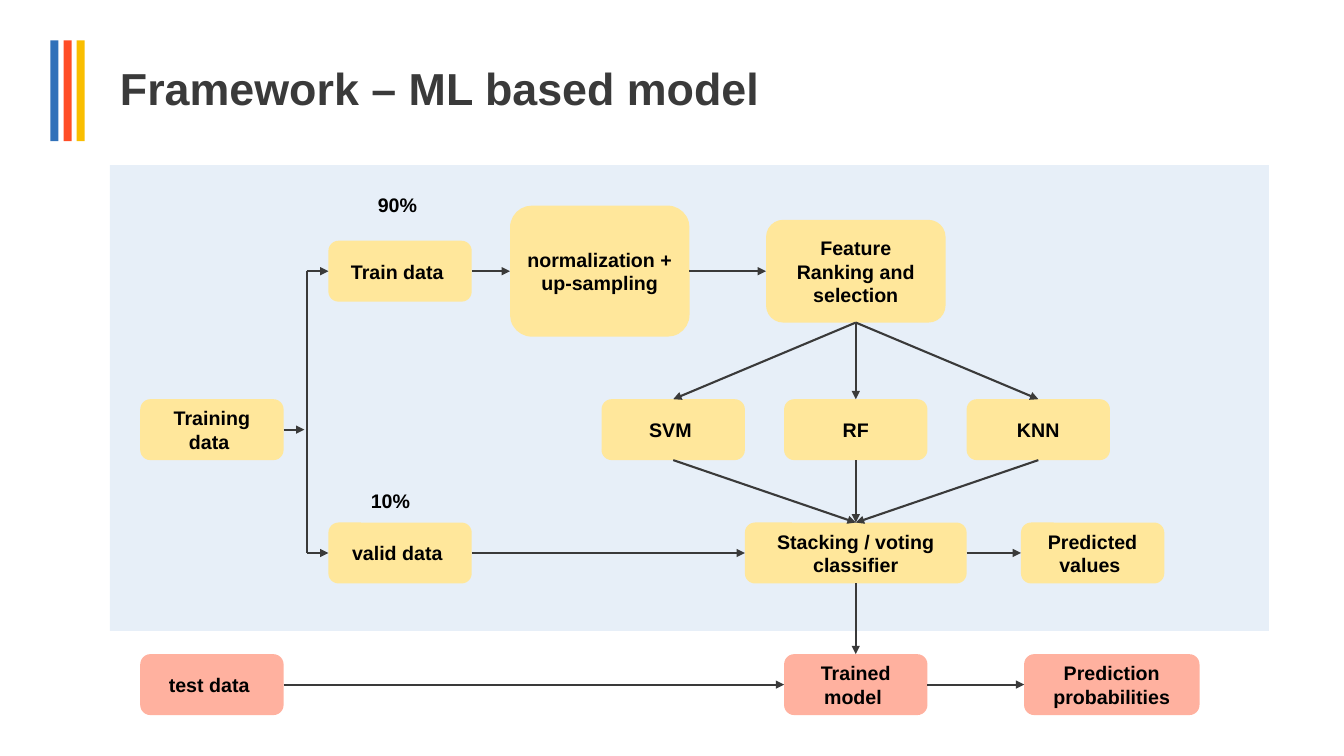
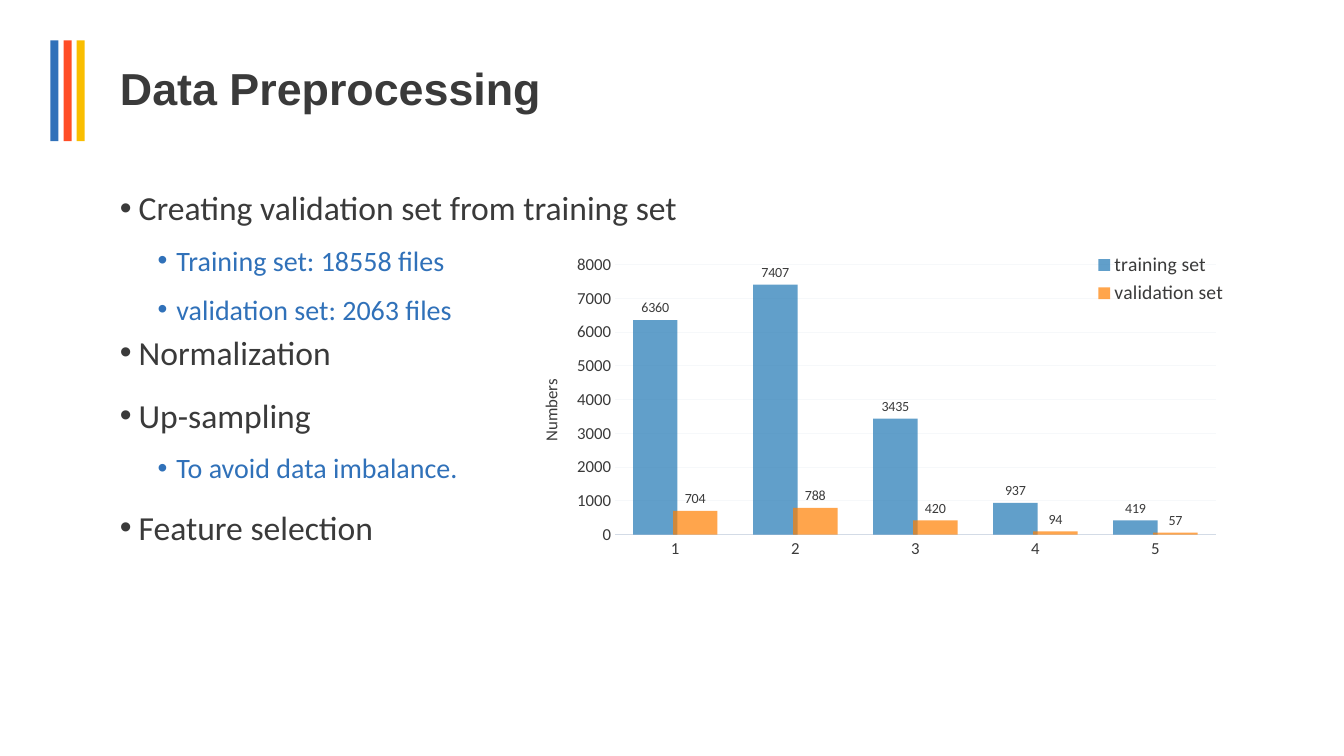
from lxml import etree
from pptx import Presentation
from pptx.chart.data import CategoryChartData
from pptx.dml.color import RGBColor
from pptx.enum.chart import (XL_CHART_TYPE, XL_LABEL_POSITION,
                             XL_LEGEND_POSITION, XL_TICK_MARK)
from pptx.enum.shapes import MSO_CONNECTOR, MSO_SHAPE
from pptx.enum.text import MSO_ANCHOR, PP_ALIGN
from pptx.oxml.ns import qn
from pptx.util import Pt

RECTANGLE = MSO_SHAPE.RECTANGLE
ROUNDED = MSO_SHAPE.ROUNDED_RECTANGLE
STRAIGHT = MSO_CONNECTOR.STRAIGHT
COLUMNS = XL_CHART_TYPE.COLUMN_CLUSTERED
OUTSIDE_END = XL_LABEL_POSITION.OUTSIDE_END
CORNER = XL_LEGEND_POSITION.CORNER
NO_TICKS = XL_TICK_MARK.NONE
MIDDLE, TOP_ANCHOR = MSO_ANCHOR.MIDDLE, MSO_ANCHOR.TOP
LEFT_ALIGN, CENTER = PP_ALIGN.LEFT, PP_ALIGN.CENTER
TOP, LEFT, BOTTOM, RIGHT = range(4)

# Colours and fonts
DARK = RGBColor(0x3A, 0x3A, 0x3A)
BLACK = RGBColor(0x00, 0x00, 0x00)
BLUE = RGBColor(0x30, 0x71, 0xB9)
RED = RGBColor(0xFF, 0x4D, 0x26)
AMBER = RGBColor(0xF9, 0xBE, 0x00)
PANEL = RGBColor(0xD1, 0xE1, 0xF3)
YELLOW = RGBColor(0xFF, 0xE7, 0x9B)
SALMON = RGBColor(0xFF, 0xB1, 0x9F)
CHART_BLUE = RGBColor(0x1F, 0x77, 0xB4)
CHART_ORANGE = RGBColor(0xFF, 0x7F, 0x01)
AXIS_LINE = RGBColor(0xD3, 0xDB, 0xE6)
GRID = RGBColor(0xF6, 0xF8, 0xFA)
HEADING_FONT, BODY_FONT = "Arial", "Calibri"

# Shared geometry
CONTENT_LEFT, CONTENT_WIDTH = 78.5, 828
HEADER_TOP, HEADER_HEIGHT = 28.8, 72
BAR_LEFT, BAR_STEP, BAR_WIDTH = 36, 9.4, 5.76

# Framework content: text, centre x, centre y, width, height, colour
NODE_WIDTH, NODE_HEIGHT = 102.4, 43.5
TRAIN_Y, MODEL_Y, VALID_Y, TEST_Y = 193.7, 306.9, 395, 489
START_X, SPLIT_X, CENTRE_X, MODEL_STEP = 151.4, 285.8, 611.3, 130.4
BRANCH_X = 219
STANDARD = (NODE_WIDTH, NODE_HEIGHT)
NODES = {
    "training": ("Training data ", START_X, MODEL_Y, *STANDARD, YELLOW),
    "train": ("Train data ", SPLIT_X, TRAIN_Y, *STANDARD, YELLOW),
    "valid": ("valid data ", SPLIT_X, VALID_Y, *STANDARD, YELLOW),
    "normalize": ("normalization + up-sampling", 428.4, TRAIN_Y, 128.2, 93.6, YELLOW),
    "features": ("Feature Ranking and selection", CENTRE_X, TRAIN_Y, 128.2, 73.4, YELLOW),
    "svm": ("SVM ", CENTRE_X - MODEL_STEP, MODEL_Y, *STANDARD, YELLOW),
    "rf": ("RF", CENTRE_X, MODEL_Y, *STANDARD, YELLOW),
    "knn": ("KNN", CENTRE_X + MODEL_STEP, MODEL_Y, *STANDARD, YELLOW),
    "stacking": ("Stacking / voting classifier", CENTRE_X, VALID_Y, 158.4, NODE_HEIGHT, YELLOW),
    "predicted": ("Predicted values ", 780.5, VALID_Y, *STANDARD, YELLOW),
    "test": ("test data ", START_X, TEST_Y, *STANDARD, SALMON),
    "trained": ("Trained model ", CENTRE_X, TEST_Y, *STANDARD, SALMON),
    "probabilities": ("Prediction probabilities", 794.2, TEST_Y, 125.3, NODE_HEIGHT, SALMON),
}
ACROSS = [("train", "normalize"), ("normalize", "features"), ("valid", "stacking"),
          ("stacking", "predicted"), ("test", "trained"), ("trained", "probabilities")]
DOWN = [("features", "svm"), ("features", "rf"), ("features", "knn"),
        ("svm", "stacking"), ("rf", "stacking"), ("knn", "stacking"),
        ("stacking", "trained")]
SHARES = [("90%", 262.8, 134.6), ("10%", 257.8, 345.6)]

# Preprocessing content: level, text, line spacing, space before
BULLETS = [
    (0, "Creating validation set from training set", 1.3, 0),
    (1, "Training set: 18558 files", 1.3, 3.8),
    (1, "validation set: 2063 files", 1.3, 3.8),
    (0, "Normalization", 0.9, 7.5),
    (0, "Up-sampling", 1.3, 7.5),
    (1, "To avoid data imbalance.", 1.3, 3.8),
    (0, "Feature selection", 1.3, 7.5),
]
LEVEL_STYLES = [(24, DARK, 13.5), (20, BLUE, 40.5)]  # size, colour, indent
HANGING = 13.5
CATEGORIES = ["1", "2", "3", "4", "5"]
SERIES = [
    ("training set", (6360, 7407, 3435, 937, 419), CHART_BLUE),
    ("validation set", (704, 788, 420, 94, 57), CHART_ORANGE),
]


def box(left, top, width, height):
    return Pt(left), Pt(top), Pt(width), Pt(height)


def style_font(font, name, size, color, bold=False):
    font.name, font.size, font.bold = name, Pt(size), bold
    font.color.rgb = color


def set_opacity(element, percent):
    color = element.find(".//" + qn("a:srgbClr"))
    etree.SubElement(color, qn("a:alpha"), val=str(percent * 1000))


def add_block(slide, kind, bounds, color):
    shape = slide.shapes.add_shape(kind, *box(*bounds))
    shape.shadow.inherit = False
    shape.fill.solid()
    shape.fill.fore_color.rgb = color
    shape.line.fill.background()
    return shape


def add_titled_slide(presentation, layout, title):
    slide = presentation.slides.add_slide(layout)
    shape = slide.shapes.title
    shape.left, shape.top, shape.width, shape.height = box(
        CONTENT_LEFT, HEADER_TOP, CONTENT_WIDTH, HEADER_HEIGHT)
    shape.text_frame.text = title
    shape.text_frame.vertical_anchor = MIDDLE
    paragraph = shape.text_frame.paragraphs[0]
    paragraph.alignment, paragraph.line_spacing = LEFT_ALIGN, 0.9
    style_font(paragraph.runs[0].font, HEADING_FONT, 32, DARK, True)
    return slide


def add_header_bars(slide, layout):
    """Draw the bars and move them to the layout, so every slide shows them."""
    for index, color in enumerate((BLUE, RED, AMBER)):
        left = BAR_LEFT + index * BAR_STEP
        bar = add_block(slide, RECTANGLE, (left, HEADER_TOP, BAR_WIDTH, HEADER_HEIGHT), color)
        layout.shapes.element.append(bar.element)


def add_node(slide, text, centre_x, centre_y, width, height, color):
    bounds = (centre_x - width / 2, centre_y - height / 2, width, height)
    shape = add_block(slide, ROUNDED, bounds, color)
    shape.text_frame.text = text
    shape.text_frame.word_wrap = True
    shape.text_frame.vertical_anchor = MIDDLE
    paragraph = shape.text_frame.paragraphs[0]
    paragraph.alignment = CENTER
    style_font(paragraph.runs[0].font, HEADING_FONT, 14, BLACK, True)
    return shape


def add_line(slide, start=(0, 0), end=(0, 0), source=None, target=None, arrow=True):
    """Draw from start to end; source and target are (shape, side) pairs."""
    line = slide.shapes.add_connector(STRAIGHT, *box(*start, *end))
    if source:
        line.begin_connect(*source)
    if target:
        line.end_connect(*target)
    line.line.color.rgb = DARK
    line.line.width = Pt(1.5)
    properties = line.element.spPr
    if arrow:
        etree.SubElement(properties.find(qn("a:ln")), qn("a:tailEnd"), type="triangle")
    etree.SubElement(properties, qn("a:effectLst"))


def fill_framework(slide):
    # Panel, nodes and share labels
    panel = add_block(slide, RECTANGLE, (CONTENT_LEFT, 118, CONTENT_WIDTH, 332.6), PANEL)
    set_opacity(panel.element, 50)
    nodes = {name: add_node(slide, *node) for name, node in NODES.items()}
    for text, left, top in SHARES:
        label = slide.shapes.add_textbox(*box(left, top, 44, 24.5))
        label.text_frame.word_wrap = True
        label.text_frame.text = text
        style_font(label.text_frame.paragraphs[0].runs[0].font, HEADING_FONT, 14, BLACK, True)

    # Arrows between nodes
    for pairs, out_side, in_side in ((ACROSS, RIGHT, LEFT), (DOWN, BOTTOM, TOP)):
        for source, target in pairs:
            add_line(slide, source=(nodes[source], out_side), target=(nodes[target], in_side))

    # Branch from the training data
    add_line(slide, (BRANCH_X, TRAIN_Y), (BRANCH_X, VALID_Y), arrow=False)
    add_line(slide, end=(BRANCH_X - 1.5, MODEL_Y), source=(nodes["training"], RIGHT))
    for name, y in (("train", TRAIN_Y), ("valid", VALID_Y)):
        add_line(slide, start=(BRANCH_X, y), target=(nodes[name], LEFT))


def add_bullets(slide):
    shape = slide.shapes.add_textbox(*box(CONTENT_LEFT, 121.7, CONTENT_WIDTH, 363))
    frame = shape.text_frame
    frame.word_wrap = True
    frame.vertical_anchor = TOP_ANCHOR
    frame.text = "\n".join(bullet[1] for bullet in BULLETS)
    for paragraph, (level, _, spacing, before) in zip(frame.paragraphs, BULLETS):
        size, color, indent = LEVEL_STYLES[level]
        paragraph.level = level
        paragraph.line_spacing, paragraph.space_before = spacing, Pt(before)
        style_font(paragraph.runs[0].font, BODY_FONT, size, color)
        properties = paragraph._p.get_or_add_pPr()
        properties.set("marL", str(Pt(indent)))
        properties.set("indent", str(-Pt(HANGING)))
        bullet_color = etree.SubElement(properties, qn("a:buClr"))
        etree.SubElement(bullet_color, qn("a:srgbClr"), val=str(color))
        etree.SubElement(properties, qn("a:buFont"), typeface="Arial")
        etree.SubElement(properties, qn("a:buChar"), char="•")


def set_layout(parent, index, **values):
    """Give a chart part a fixed place, in fractions of the chart."""
    for old in parent.findall(qn("c:layout")):
        parent.remove(old)
    layout = etree.Element(qn("c:layout"))
    parent.insert(index, layout)
    manual = etree.SubElement(layout, qn("c:manualLayout"))
    for name, value in values.items():
        etree.SubElement(manual, qn("c:" + name), val=str(value))


def add_column_chart(slide):
    data = CategoryChartData()
    data.categories = CATEGORIES
    for name, values, _ in SERIES:
        data.add_series(name, values)
    chart = slide.shapes.add_chart(COLUMNS, *box(368, 177.8, 510.5, 226.8), data).chart
    chart.has_title = False
    style_font(chart.font, BODY_FONT, 12, DARK)

    # Columns and value labels
    plot = chart.plots[0]
    plot.gap_width, plot.overlap, plot.vary_by_categories = 80, 10, False
    for series, (_, _, color) in zip(plot.series, SERIES):
        series.format.fill.solid()
        series.format.fill.fore_color.rgb = color
        series.data_labels.show_value = True
        series.data_labels.position = OUTSIDE_END
        style_font(series.data_labels.font, BODY_FONT, 10, DARK)
    for element in chart.element.iter(qn("c:ser")):
        set_opacity(element.find(qn("c:spPr")), 70)

    # Axes
    category_axis, value_axis = chart.category_axis, chart.value_axis
    for axis in (category_axis, value_axis):
        axis.major_tick_mark = axis.minor_tick_mark = NO_TICKS
        style_font(axis.tick_labels.font, BODY_FONT, 12, DARK)
    category_axis.format.line.color.rgb = AXIS_LINE
    category_axis.format.line.width = Pt(1.25)
    value_axis.format.line.fill.background()
    value_axis.minimum_scale, value_axis.maximum_scale, value_axis.major_unit = 0, 8000, 1000
    grid_line = value_axis.major_gridlines.format.line
    grid_line.color.rgb, grid_line.width = GRID, Pt(0.75)
    title_frame = value_axis.axis_title.text_frame
    title_frame.text = "Numbers"
    style_font(title_frame.paragraphs[0].runs[0].font, BODY_FONT, 12, DARK)

    # Legend and fixed places
    chart.has_legend = True
    chart.legend.position, chart.legend.include_in_layout = CORNER, True
    style_font(chart.legend.font, BODY_FONT, 14, DARK)
    set_layout(chart.element.find(".//" + qn("c:plotArea")), 0, layoutTarget="inner",
               xMode="edge", yMode="edge", x=0.14, y=0.05, w=0.84, h=0.85)
    set_layout(chart.element.find(".//" + qn("c:valAx") + "/" + qn("c:title")), 1,
               xMode="edge", yMode="edge", x=0.03, y=0.4)


def main():
    presentation = Presentation()
    presentation.slide_width, presentation.slide_height = Pt(960), Pt(540)
    layout = presentation.slide_layouts.get_by_name("Title Only")
    framework = add_titled_slide(presentation, layout, "Framework – ML based model")
    add_header_bars(framework, layout)
    fill_framework(framework)
    preprocessing = add_titled_slide(presentation, layout, "Data Preprocessing")
    add_bullets(preprocessing)
    add_column_chart(preprocessing)
    presentation.save("out.pptx")


if __name__ == "__main__":
    main()
